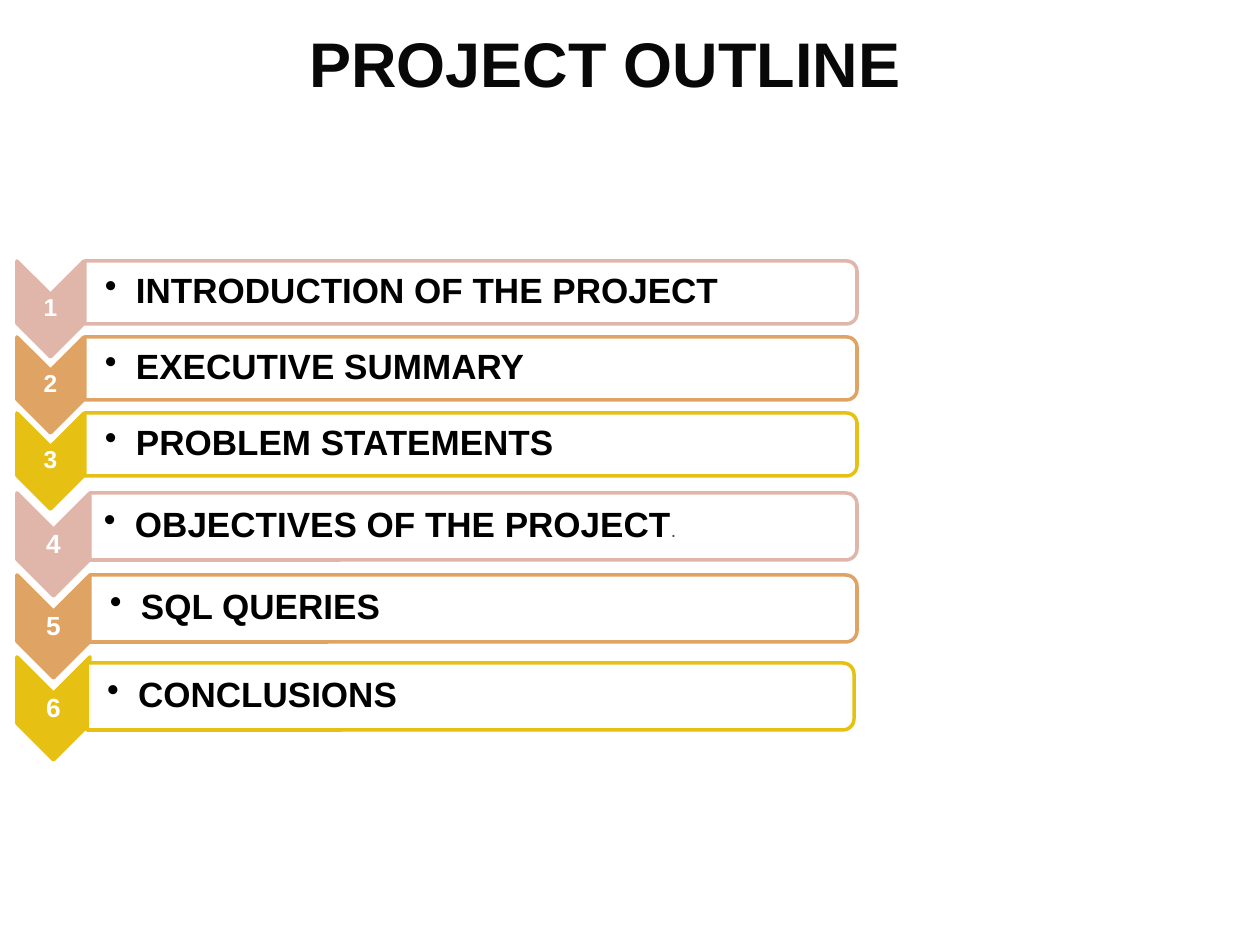
import pptx
import pptx.dml.color
import pptx.enum.shapes
import pptx.enum.text
import pptx.oxml.ns
import pptx.oxml.xmlchemy
import pptx.util

RGBColor = pptx.dml.color.RGBColor
MSO_SHAPE = pptx.enum.shapes.MSO_SHAPE
PP_ALIGN = pptx.enum.text.PP_ALIGN
MSO_ANCHOR = pptx.enum.text.MSO_ANCHOR
OxmlElement = pptx.oxml.xmlchemy.OxmlElement
qn = pptx.oxml.ns.qn

EMU_PER_PX = 914400 / 126
FONT = "Arial"

WHITE = RGBColor(0xFF, 0xFF, 0xFF)
BLACK = RGBColor(0x00, 0x00, 0x00)
TITLE_BLACK = RGBColor(0x08, 0x08, 0x08)
GREY = RGBColor(0x4D, 0x4D, 0x4D)
PINK = RGBColor(0xE0, 0xB6, 0xAA)
ORANGE = RGBColor(0xDF, 0xA3, 0x63)
YELLOW = RGBColor(0xE6, 0xC0, 0x13)
ROW_COLORS = (PINK, ORANGE, YELLOW)

CHEVRON_LEFT = 17
LABEL_MARGIN = 3

# Each block: size of its rows, then its labels
BLOCKS = (
    dict(top=261, pitch=76, chevron=(67, 96), bar=(85, 772, 63), number_size=14,
         labels=("INTRODUCTION OF THE PROJECT", "EXECUTIVE SUMMARY",
                 "PROBLEM STATEMENTS")),
    dict(top=493, pitch=82, chevron=(73, 103), bar=(90, 767, 67), number_size=15,
         labels=("OBJECTIVES OF THE PROJECT", "SQL QUERIES", "CONCLUSIONS")),
)
BAR_SHIFTS = {6: (-3, 6)}
LABEL_INSETS = {4: 14}
LABEL_ENDINGS = {4: "."}


def px(length):
    return pptx.util.Emu(round(length * EMU_PER_PX))


def add_run(paragraph, text, size, color, bold):
    run = paragraph.add_run()
    run.text = text
    run.font.name = FONT
    run.font.size = pptx.util.Pt(size)
    run.font.bold = bold
    run.font.color.rgb = color


def add_text(shapes, text, left, top, width, height, *, size, color,
             align=PP_ALIGN.CENTER, inset=1, bullet_indent=0, spacing=0.9):
    """Add a bold, vertically centred line and return its paragraph."""
    box = shapes.add_textbox(px(left), px(top), px(width), px(height))
    frame = box.text_frame
    frame.word_wrap = True
    frame.vertical_anchor = MSO_ANCHOR.MIDDLE
    frame.margin_left = px(inset)
    frame.margin_top = frame.margin_right = frame.margin_bottom = px(1)
    paragraph = frame.paragraphs[0]
    paragraph.alignment = align
    paragraph.line_spacing = spacing
    add_run(paragraph, text, size, color, True)
    if bullet_indent:
        properties = paragraph._p.get_or_add_pPr()
        properties.set("marL", str(px(bullet_indent)))
        properties.set("indent", str(-px(bullet_indent)))
        bullet = OxmlElement("a:buChar")
        bullet.set("char", "•")
        properties.append(bullet)
    return paragraph


def add_turned_shape(shapes, kind, left, top, width, height, *, fill, line):
    """Add a preset shape turned clockwise that shows in the given rectangle."""
    shape = shapes.add_shape(
        kind, px(left + (width - height) / 2), px(top + (height - width) / 2),
        px(height), px(width))
    shape.rotation = 90
    shape.shadow.inherit = False
    shape.fill.solid()
    shape.fill.fore_color.rgb = fill
    shape.line.color.rgb = line
    shape.line.width = pptx.util.Pt(2)
    outline = shape._element.spPr.find(qn("a:ln"))
    outline.append(OxmlElement("a:round"))
    return shape


def add_row(shapes, number, label, top, color, block):
    # Numbered chevron
    breadth, length = block["chevron"]
    add_turned_shape(shapes, MSO_SHAPE.CHEVRON, CHEVRON_LEFT, top, breadth, length,
                     fill=color, line=color)
    add_text(shapes, str(number), CHEVRON_LEFT, top + breadth / 2, breadth,
             length - breadth, size=block["number_size"], color=WHITE)

    # Bar, rounded on the right
    left, width, height = block["bar"]
    shift_x, shift_y = BAR_SHIFTS.get(number, (0, 0))
    left, top = left + shift_x, top + shift_y
    bar = add_turned_shape(shapes, MSO_SHAPE.ROUND_2_SAME_RECTANGLE, left, top,
                           width, height, fill=WHITE, line=color)
    alpha = OxmlElement("a:alpha")
    alpha.set("val", "90000")
    bar._element.spPr.find(qn("a:solidFill"))[0].append(alpha)

    # Bulleted label
    paragraph = add_text(
        shapes, label, left, top + LABEL_MARGIN, width - LABEL_MARGIN,
        height - 2 * LABEL_MARGIN, size=20, color=BLACK, align=PP_ALIGN.LEFT,
        inset=LABEL_INSETS.get(number, 20), bullet_indent=31)
    if number in LABEL_ENDINGS:
        add_run(paragraph, LABEL_ENDINGS[number], 11, GREY, False)


def main():
    presentation = pptx.Presentation()
    presentation.slide_width = px(1260)
    presentation.slide_height = px(945)
    slide = presentation.slides.add_slide(presentation.slide_layouts[6])

    # Title
    add_text(slide.shapes, "PROJECT OUTLINE", 94, 27, 1022, 71,
             size=36, color=TITLE_BLACK, spacing=1.0)

    # Outline rows, one group for each block
    number = 0
    for block in BLOCKS:
        group = slide.shapes.add_group_shape()
        for index, (label, color) in enumerate(zip(block["labels"], ROW_COLORS)):
            number += 1
            top = block["top"] + index * block["pitch"]
            add_row(group.shapes, number, label, top, color, block)

    presentation.save("out.pptx")


if __name__ == "__main__":
    main()
